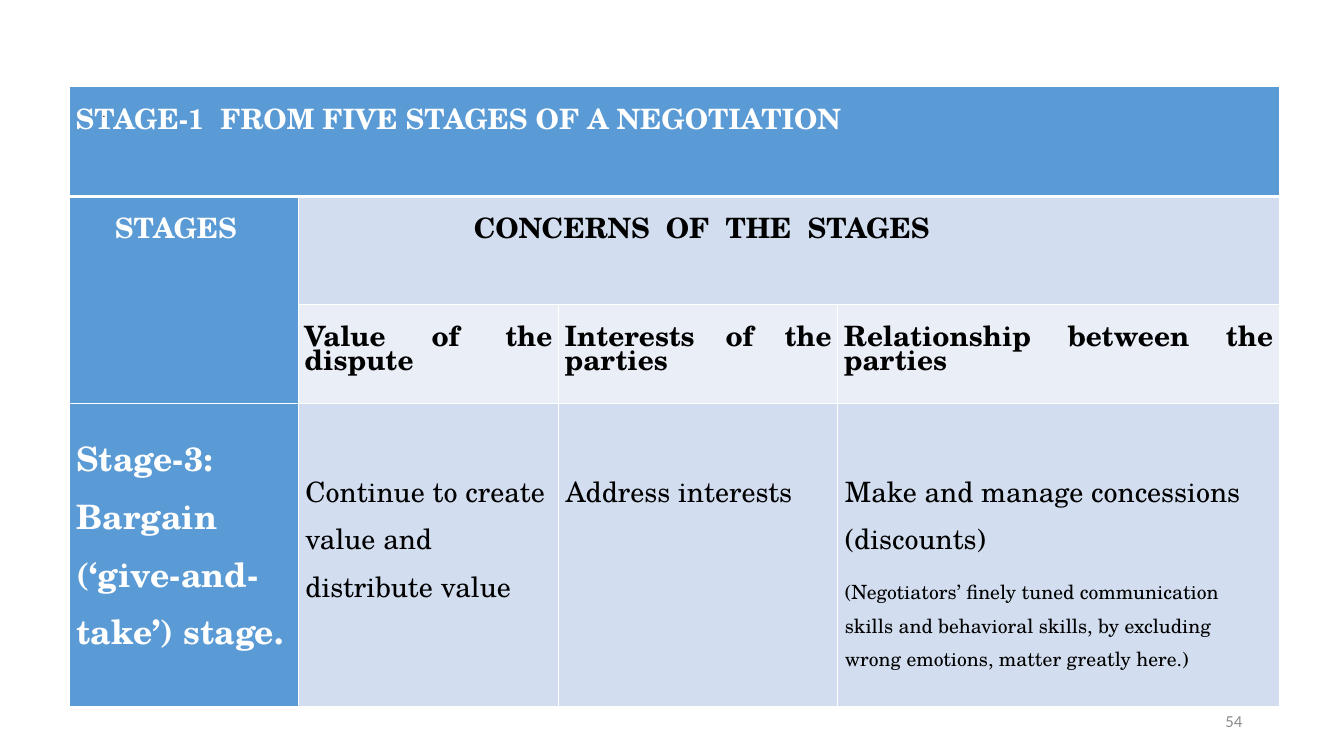
import pptx
import pptx.dml.color
import pptx.enum.text
import pptx.util
from lxml import etree
from pptx.oxml.ns import qn

Inches = pptx.util.Inches
Pt = pptx.util.Pt
RGBColor = pptx.dml.color.RGBColor
Align = pptx.enum.text.PP_ALIGN

WHITE = RGBColor(0xFF, 0xFF, 0xFF)
BLACK = RGBColor(0, 0, 0)
GRAY = RGBColor(0x8C, 0x8C, 0x8C)
BLUE = RGBColor(0x5B, 0x9B, 0xD5)
PALE_BLUE = RGBColor(0xD2, 0xDE, 0xEF)
PALEST_BLUE = RGBColor(0xEA, 0xEF, 0xF7)

COLUMN_WIDTHS = (2.27, 2.58, 2.77, 4.38)
ROW_HEIGHTS = (1.09, 1.07, 0.98, 3.01)
CONCERNS = ("Value of the dispute", "Interests of the parties", "Relationship between the parties")
STAGE_LINES = ("Stage-3:", "Bargain", "(‘give-and-", "take’) stage.")
ACTIONS = (
    [("Continue to create value and distribute value", 20)],
    [("Address interests", 20)],
    [("Make and manage concessions (discounts)", 20),
     ("(Negotiators’ finely tuned communication skills and behavioral skills, "
      "by excluding wrong emotions, matter greatly here.)", 14)],
)


class SlideBuilder:
    table_font = "TeX Gyre Schola"
    label_font = "Calibri"

    def __init__(self, presentation):
        self.slide = presentation.slides.add_slide(presentation.slide_layouts[6])

    def add_table(self, left, top, column_widths, row_heights):
        frame = self.slide.shapes.add_table(
            len(row_heights), len(column_widths), Inches(left), Inches(top),
            Inches(sum(column_widths)), Inches(sum(row_heights)))
        table = frame.table
        table.first_row = table.horz_banding = False
        for column, width in zip(table.columns, column_widths):
            column.width = Inches(width)
        for row, height in zip(table.rows, row_heights):
            row.height = Inches(height)
        return table

    def style_cell(self, cell, fill, top_border=1, bottom_border=1):
        """Give the cell white borders, in points, and a solid fill."""
        properties = cell._tc.get_or_add_tcPr()
        for side, width in (("L", 1), ("R", 1), ("T", top_border), ("B", bottom_border)):
            line = etree.SubElement(properties, qn(f"a:ln{side}"), w=str(Pt(width)))
            solid = etree.SubElement(line, qn("a:solidFill"))
            etree.SubElement(solid, qn("a:srgbClr"), val=str(WHITE))
        cell.fill.solid()
        cell.fill.fore_color.rgb = fill

    def write_cell(self, cell, lines, color, top, left=0.06, right=0.06, bold=True,
                   align=Align.JUSTIFY, spacing=Pt(16.8), after=3.8):
        """Write (text, size) lines, one paragraph each."""
        cell.margin_left, cell.margin_right = Inches(left), Inches(right)
        cell.margin_top, cell.margin_bottom = Inches(top), 0
        for index, (text, size) in enumerate(lines):
            text_frame = cell.text_frame
            paragraph = text_frame.add_paragraph() if index else text_frame.paragraphs[0]
            paragraph.text = text
            paragraph.line_spacing = spacing
            paragraph.space_after = Pt(after)
            self.style_paragraph(paragraph, self.table_font, size, color, align, bold)

    def add_label(self, text, left, top, width, height, size, color, align):
        box = self.slide.shapes.add_textbox(Inches(left), Inches(top), Inches(width), Inches(height))
        box.text_frame.word_wrap = True
        box.text_frame.vertical_anchor = pptx.enum.text.MSO_ANCHOR.MIDDLE
        paragraph = box.text_frame.paragraphs[0]
        paragraph.text = text
        self.style_paragraph(paragraph, self.label_font, size, color, align)

    def style_paragraph(self, paragraph, font_name, size, color, align, bold=False):
        paragraph.alignment = align
        font = paragraph.font
        font.name, font.size, font.bold = font_name, Pt(size), bold
        font.color.rgb = color


def build_stage_table(builder):
    table = builder.add_table(0.69, 0.86, COLUMN_WIDTHS, ROW_HEIGHTS)
    row_fills = (BLUE, PALE_BLUE, PALEST_BLUE, PALE_BLUE)
    for row, fill in enumerate(row_fills):
        for column in range(len(COLUMN_WIDTHS)):
            builder.style_cell(table.cell(row, column), BLUE if column == 0 else fill,
                               top_border=3 if row == 1 else 1,
                               bottom_border=3 if row == 0 else 1)
    table.cell(0, 0).merge(table.cell(0, 3))
    table.cell(1, 0).merge(table.cell(2, 0))
    table.cell(1, 1).merge(table.cell(1, 3))

    header_top = 0.29
    builder.write_cell(table.cell(0, 0), [("STAGE-1  FROM FIVE STAGES OF A NEGOTIATION", 20)],
                       WHITE, header_top)
    builder.write_cell(table.cell(1, 0), [("STAGES", 20)], WHITE, header_top, left=0.45)
    builder.write_cell(table.cell(1, 1), [("CONCERNS  OF  THE  STAGES", 20)],
                       BLACK, header_top, left=1.74)
    builder.write_cell(table.cell(3, 0), [(line, 24) for line in STAGE_LINES],
                       WHITE, 0.57, left=0.07, right=0.07, after=24.4)
    for column, (concern, action) in enumerate(zip(CONCERNS, ACTIONS), start=1):
        builder.write_cell(table.cell(2, column), [(concern, 20)], BLACK, header_top)
        builder.write_cell(table.cell(3, column), action, BLACK, 0.61, left=0.07, right=0.07,
                           bold=False, align=Align.LEFT, spacing=1.15, after=10)


def main():
    presentation = pptx.Presentation()
    presentation.slide_width, presentation.slide_height = Inches(13.33), Inches(7.5)
    builder = SlideBuilder(presentation)
    build_stage_table(builder)
    builder.add_label(".", 0.92, 0.4, 11.5, 1.45, 8, BLACK, Align.LEFT)
    builder.add_label("54", 9.42, 6.95, 3, 0.4, 12, GRAY, Align.RIGHT)
    presentation.save("out.pptx")


if __name__ == "__main__":
    main()
